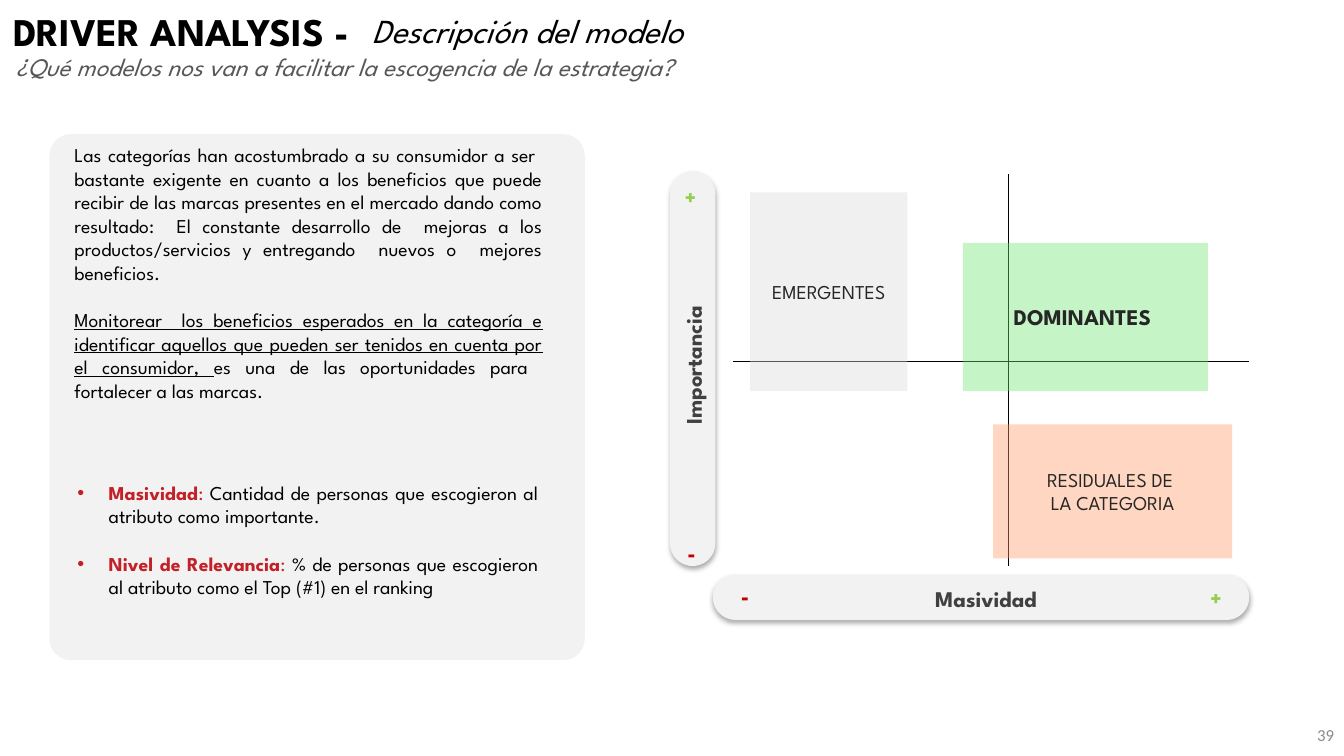
from lxml import etree
from pptx import Presentation
from pptx import util as u
from pptx.dml.color import RGBColor
from pptx.enum import shapes, text
from pptx.oxml import ns

BLACK = RGBColor(0x00, 0x00, 0x00)
INK = RGBColor(0x26, 0x26, 0x26)
DARK = RGBColor(0x40, 0x40, 0x40)
SUBTITLE = RGBColor(0x57, 0x57, 0x56)
PAGE = RGBColor(0x8C, 0x8C, 0x8C)
PANEL = RGBColor(0xF2, 0xF2, 0xF2)
CRIMSON = RGBColor(0xC3, 0x21, 0x27)
MINUS = RGBColor(0xC0, 0x00, 0x00)
PLUS = RGBColor(0x92, 0xD0, 0x50)
GRAY = RGBColor(0xDB, 0xDB, 0xDB)
GREEN = RGBColor(0x6F, 0xE7, 0x75)
ORANGE = RGBColor(0xFF, 0x99, 0x66)

ALIGN = text.PP_ALIGN
SHAPE = shapes.MSO_SHAPE


def child(parent, tag, **attrs):
    return etree.SubElement(parent, ns.qn(tag), attrs)


class SlideBuilder:
    font = "League Spartan"

    def __init__(self, prs):
        self.slide = prs.slides.add_slide(prs.slide_layouts[5])

    def run(self, p, words, size=14, color=BLACK, font=None, **style):
        r = p.add_run()
        r.text = words
        r.font.name = font or self.font
        r.font.size = u.Pt(size)
        r.font.color.rgb = color
        for name in ("bold", "italic", "underline"):
            setattr(r.font, name, style.get(name, False))

    def fill_text(self, sp, paragraphs, align=ALIGN.LEFT, gap=0, bullet=False,
                  inset=(0.1, 0.05), anchor=text.MSO_ANCHOR.TOP):
        tf = sp.text_frame
        tf.word_wrap = True
        tf.auto_size = text.MSO_AUTO_SIZE.NONE
        tf.vertical_anchor = anchor
        tf.margin_left = tf.margin_right = u.Inches(inset[0])
        tf.margin_top = tf.margin_bottom = u.Inches(inset[1])
        for i, runs in enumerate(paragraphs):
            p = tf.add_paragraph() if i else tf.paragraphs[0]
            p.alignment = align
            if i and gap:
                p.space_before = u.Pt(gap)
            if bullet:
                pPr = p._p.get_or_add_pPr()
                pPr.set("marL", str(u.Inches(0.31)))
                pPr.set("indent", str(-u.Inches(0.31)))
                child(pPr, "a:buFont", typeface="Arial")
                child(pPr, "a:buChar", char="•")
            for words, style in runs:
                self.run(p, words, **style)

    def title(self, box, runs):
        sp = self.slide.shapes.title
        sp.left, sp.top, sp.width, sp.height = map(u.Inches, box)
        self.fill_text(sp, [runs])

    def textbox(self, box, paragraphs, rotation=0, **layout):
        sp = self.slide.shapes.add_textbox(*map(u.Inches, box))
        sp.rotation = rotation
        self.fill_text(sp, paragraphs, **layout)

    def shape(self, kind, box, color, radius=None, rotation=0):
        sp = self.slide.shapes.add_shape(kind, *map(u.Inches, box))
        sp.shadow.inherit = False
        sp.fill.solid()
        sp.fill.fore_color.rgb = color
        sp.line.fill.background()
        sp.rotation = rotation
        if radius is not None:
            sp.adjustments[0] = radius
        return sp

    def axis_bar(self, box, rotation=0):
        sp = self.shape(SHAPE.ROUNDED_RECTANGLE, box, PANEL, 0.5, rotation)
        effects = sp._element.spPr.find(ns.qn("a:effectLst"))
        shadow = child(effects, "a:outerShdw", blurRad=str(u.Pt(3.5)),
                       dist=str(u.Pt(2.2)), dir="5400000", rotWithShape="0")
        black = child(shadow, "a:srgbClr", val="000000")
        child(black, "a:alpha", val="32000")

    def axis_label(self, box, words, color, rotation=0):
        run = (words, dict(size=16, color=color, bold=True))
        self.textbox(box, [[run]], rotation, align=ALIGN.CENTER)

    def quadrant(self, box, color, lines, **style):
        sp = self.shape(SHAPE.RECTANGLE, box, color)
        clr = sp._element.spPr.find(ns.qn("a:solidFill"))[0]
        child(clr, "a:alpha", val="40000")
        self.fill_text(sp, [[(line, dict(color=INK, **style))] for line in lines],
                       align=ALIGN.CENTER, anchor=text.MSO_ANCHOR.MIDDLE)

    def line(self, x1, y1, x2, y2):
        cx = self.slide.shapes.add_connector(
            shapes.MSO_CONNECTOR.STRAIGHT, *map(u.Inches, (x1, y1, x2, y2)))
        cx.line.color.rgb = BLACK
        cx.line.width = u.Pt(0.75)
        child(cx._element.spPr, "a:effectLst")


def main():
    prs = Presentation()
    prs.slide_width, prs.slide_height = u.Inches(13.33), u.Inches(7.5)
    s = SlideBuilder(prs)

    s.title((0.03, 0.02, 6.66, 0.57),
            [("DRIVER ANALYSIS -", dict(size=28, bold=True))])
    s.textbox((3.56, 0.03, 4.24, 0.54),
              [[("Descripción del modelo", dict(size=24, italic=True))]],
              inset=(0.13, 0.07))
    s.textbox((0.03, 0.44, 9.43, 0.44),
              [[("¿Qué modelos nos van a facilitar la escogencia de la estrategia?",
                 dict(size=18, color=SUBTITLE, italic=True))]],
              inset=(0.13, 0.07))
    s.textbox((10.33, 7.09, 3, 0.4),
              [[("39", dict(size=12, color=PAGE, font="Calibri"))]],
              align=ALIGN.RIGHT, anchor=text.MSO_ANCHOR.MIDDLE)

    s.shape(SHAPE.ROUNDED_RECTANGLE, (0.49, 1.33, 5.31, 5.22), PANEL, 0.041)
    s.textbox((0.64, 1.37, 4.84, 3.16), [
        [("Las categorías han acostumbrado a su consumidor a ser  bastante exigente "
          "en cuanto a los beneficios que puede recibir de las marcas presentes en el "
          "mercado dando como resultado:  El constante desarrollo de  mejoras a los "
          "productos/servicios y entregando  nuevos o  mejores beneficios.", {})],
        [("Monitorear  los beneficios esperados en la categoría e identificar aquellos "
          "que pueden ser tenidos en cuenta por el consumidor, ", dict(underline=True)),
         ("es una de las oportunidades para  fortalecer a las marcas.", {})],
    ], align=ALIGN.JUSTIFY, gap=17)

    definitions = [
        ("Masividad",
         "Cantidad de personas que escogieron al atributo como importante."),
        ("Nivel de Relevancia",
         "% de personas que escogieron al atributo como el Top (#1) en el ranking"),
    ]
    s.textbox((0.67, 4.72, 4.77, 1.51), [
        [(term, dict(color=CRIMSON, bold=True)), (": ", dict(color=CRIMSON)),
         (meaning, {})] for term, meaning in definitions
    ], align=ALIGN.JUSTIFY, gap=17, bullet=True)

    s.axis_bar((7.07, 5.7, 5.32, 0.45))
    s.axis_bar((4.91, 3.43, 3.92, 0.45), rotation=270)
    s.line(10, 1.73, 10, 5.62)
    s.line(7.27, 3.59, 12.39, 3.59)

    s.quadrant((7.44, 1.91, 1.56, 1.97), GRAY, ["EMERGENTES"])
    s.quadrant((9.55, 2.41, 2.43, 1.47), GREEN, ["DOMINANTES "],
               size=16, bold=True)
    s.quadrant((9.85, 4.21, 2.37, 1.33), ORANGE,
               ["RESIDUALES DE ", "LA CATEGORIA"])

    s.axis_label((8.19, 5.76, 3.18, 0.37), "Masividad", DARK)
    s.axis_label((7.11, 5.73, 0.56, 0.37), "-", MINUS)
    s.axis_label((10.9, 5.75, 2.32, 0.37), "+", PLUS)
    s.axis_label((4.89, 3.44, 3.97, 0.37), "Importancia", DARK, rotation=270)
    s.axis_label((6.66, 5.3, 0.4, 0.37), "-", MINUS)
    s.axis_label((6.49, 1.77, 0.72, 0.37), "+", PLUS)

    prs.save("out.pptx")


if __name__ == "__main__":
    main()
